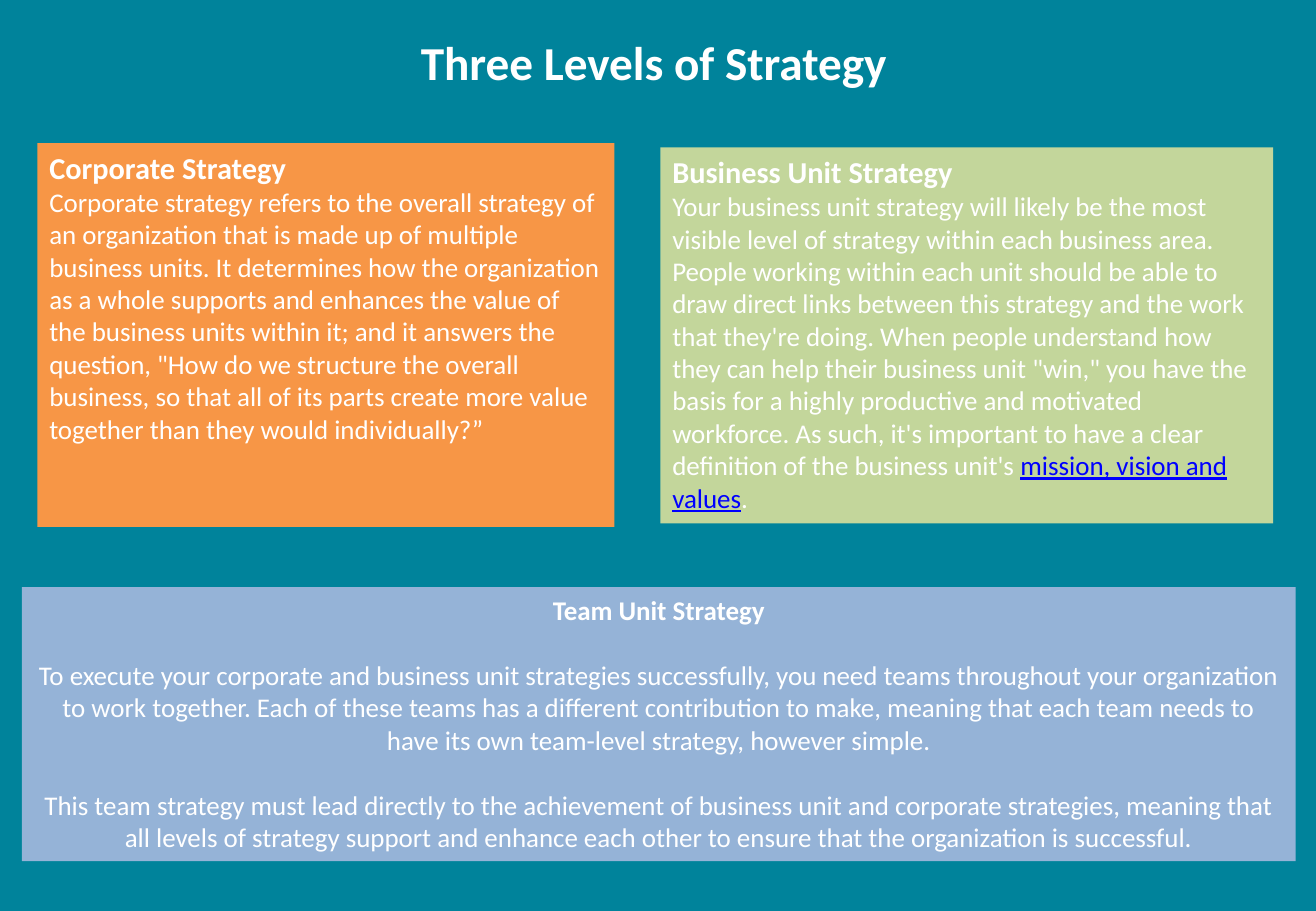
import pptx
import pptx.util
import pptx.dml.color
import pptx.enum.shapes
import pptx.enum.text
from dataclasses import dataclass

Pt = pptx.util.Pt
RGB = pptx.dml.color.RGBColor.from_string
ALIGN = pptx.enum.text.PP_ALIGN
ANCHOR = pptx.enum.text.MSO_ANCHOR


@dataclass(frozen=True)
class Theme:
    font: str = "Calibri"
    background: str = "00839B"
    text: str = "FFFFFF"
    link: str = "0000FF"
    corporate: str = "F79646"
    business: str = "C3D69B"
    team: str = "95B3D7"
    title_size: float = 28
    heading_size: float = 18
    body_size: float = 16
    paragraph_gap: float = 19.5


THEME = Theme()
SLIDE_SIZE = (780, 540)
TITLE = "Three Levels of Strategy"
TITLE_BOX = (9.4, 9.4, 756, 54.7)
LINK = "mission, vision and values"

PANELS = [
    {
        "box": (22.1, 84.8, 342, 227.5),
        "fill": THEME.corporate,
        "align": ALIGN.LEFT,
        "heading": "Corporate Strategy",
        "heading_size": THEME.heading_size,
        "gap": 0,
        "body": [
            "Corporate strategy refers to the overall strategy of an organization that is made up of "
            "multiple business units. It determines how the organization as a whole supports and "
            "enhances the value of the business units within it; and it answers the question, \"How do "
            "we structure the overall business, so that all of its parts create more value together "
            "than they would individually?”",
        ],
    },
    {
        "box": (391.4, 87.3, 363.3, 223),
        "fill": THEME.business,
        "align": ALIGN.LEFT,
        "heading": "Business Unit Strategy",
        "heading_size": THEME.heading_size,
        "gap": 0,
        "body": [
            "Your business unit strategy will likely be the most visible level of strategy within each "
            "business area. People working within each unit should be able to draw direct links between "
            "this strategy and the work that they're doing. When people understand how they can help "
            "their business unit \"win,\" you have the basis for a highly productive and motivated "
            "workforce. As such, it's important to have a clear definition of the business unit's "
            f"{LINK}.",
        ],
    },
    {
        "box": (13, 348, 755, 162.5),
        "fill": THEME.team,
        "align": ALIGN.CENTER,
        "heading": "Team Unit Strategy",
        "heading_size": THEME.body_size,
        "gap": THEME.paragraph_gap,
        "body": [
            "To execute your corporate and business unit strategies successfully, you need teams "
            "throughout your organization to work together. Each of these teams has a different "
            "contribution to make, meaning that each team needs to have its own team-level strategy, "
            "however simple.",
            "This team strategy must lead directly to the achievement of business unit and corporate "
            "strategies, meaning that all levels of strategy support and enhance each other to ensure "
            "that the organization is successful.",
        ],
    },
]


def write(p, text, size, align, bold=False, gap=0):
    p.alignment = align
    p.space_before = Pt(gap)
    p.font.name = THEME.font
    p.font.size = Pt(size)
    p.font.bold = bold
    p.font.color.rgb = RGB(THEME.text)
    before, link, after = text.partition(LINK)
    for part in filter(None, (before, link, after)):
        r = p.add_run()
        r.text = part
        if part == LINK:
            r.font.color.rgb = RGB(THEME.link)
            r.font.underline = True


def add_title(slide):
    tf = slide.shapes.add_textbox(*map(Pt, TITLE_BOX)).text_frame
    tf.word_wrap = True
    tf.vertical_anchor = ANCHOR.MIDDLE
    write(tf.paragraphs[0], TITLE, THEME.title_size, ALIGN.CENTER, bold=True)


def add_panel(slide, panel):
    sp = slide.shapes.add_shape(pptx.enum.shapes.MSO_SHAPE.RECTANGLE, *map(Pt, panel["box"]))
    sp.shadow.inherit = False
    sp.fill.solid()
    sp.fill.fore_color.rgb = RGB(panel["fill"])
    sp.line.fill.background()
    tf = sp.text_frame
    tf.word_wrap = True
    tf.vertical_anchor = ANCHOR.TOP
    write(tf.paragraphs[0], panel["heading"], panel["heading_size"], panel["align"], bold=True)
    for text in panel["body"]:
        write(tf.add_paragraph(), text, THEME.body_size, panel["align"], gap=panel["gap"])


def main():
    prs = pptx.Presentation()
    prs.slide_width, prs.slide_height = map(Pt, SLIDE_SIZE)
    slide = prs.slides.add_slide(prs.slide_layouts[6])
    slide.background.fill.solid()
    slide.background.fill.fore_color.rgb = RGB(THEME.background)
    add_title(slide)
    for panel in PANELS:
        add_panel(slide, panel)
    prs.save("out.pptx")


if __name__ == "__main__":
    main()
